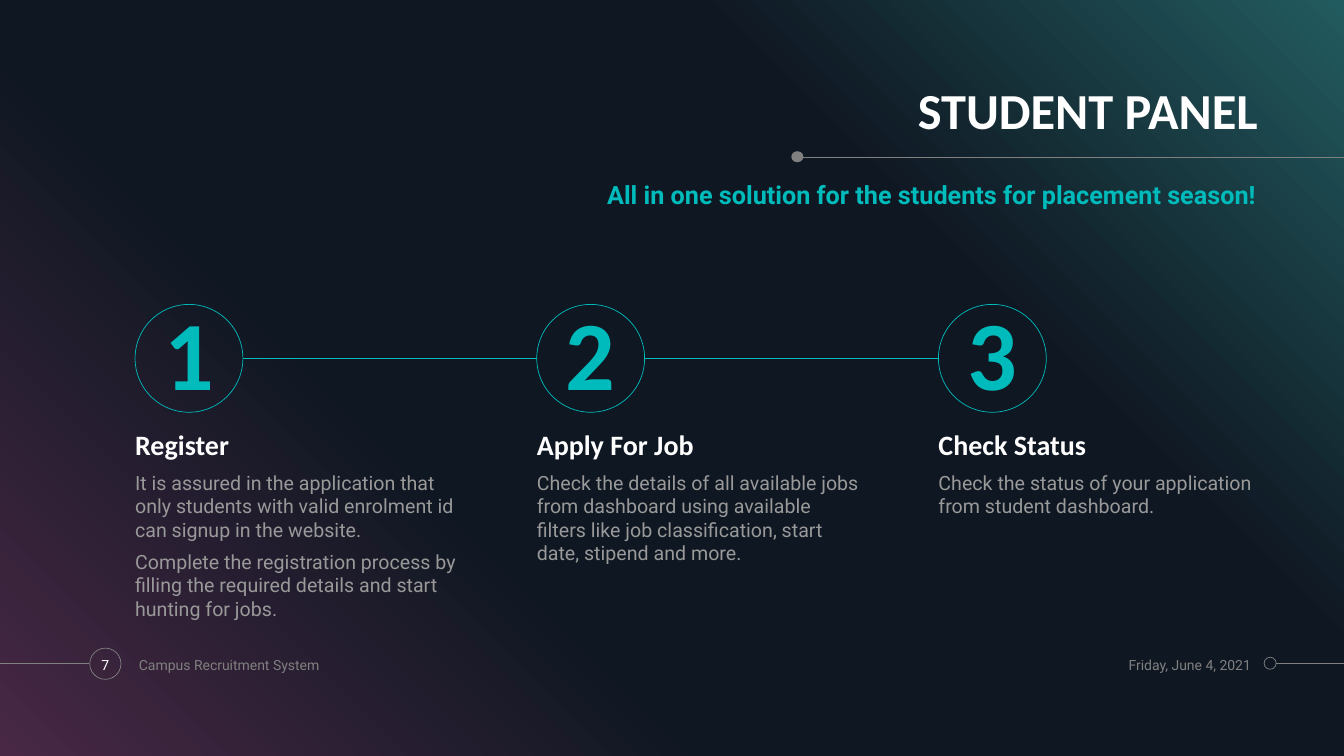
import dataclasses

import lxml.etree
import pptx
import pptx.dml.color
import pptx.enum.shapes
import pptx.enum.text
import pptx.oxml
import pptx.oxml.ns
import pptx.util

Inches = pptx.util.Inches
Pt = pptx.util.Pt
Shape = pptx.enum.shapes.MSO_SHAPE
Align = pptx.enum.text.PP_ALIGN
Anchor = pptx.enum.text.MSO_ANCHOR


@dataclasses.dataclass(frozen=True)
class Theme:
    black: str = "000000"
    white: str = "FFFFFF"
    teal: str = "00BBBB"
    gray: str = "808080"
    body: str = "999999"
    stops: tuple = ((0, "482845"), (34, "0F1722"), (69, "0F1722"), (100, "225B5F"))
    head_font: str = "Calibri"
    body_font: str = "Roboto"
    title: int = 36
    lead: int = 18
    digit: int = 70
    head: int = 20
    text: int = 14
    foot: int = 10
    line: float = 0.5


THEME = Theme()

STEPS = (
    ("Register", (
        "It is assured in the application that only students with valid "
        "enrolment id can signup in the website.",
        "Complete the registration process by filling the required details "
        "and start hunting for jobs.")),
    ("Apply For Job", (
        "Check the details of all available jobs from dashboard using available "
        "filters like job classification, start date, stipend and more.",)),
    ("Check Status", (
        "Check the status of your application from student dashboard.",)),
)
LEFT, PITCH, RING, RING_TOP = 1.34, 3.985, 1.07, 3.02


def rgb(color):
    return pptx.dml.color.RGBColor.from_string(color)


def add_form(slide, kind, box, fill=None, line=None):
    """Add a preset shape; without a fill or line colour that part is empty."""
    form = slide.shapes.add_shape(kind, *map(Inches, box))
    form.shadow.inherit = False
    if fill:
        form.fill.solid()
        form.fill.fore_color.rgb = rgb(fill)
    else:
        form.fill.background()
    if line:
        form.line.color.rgb = rgb(line)
        form.line.width = Pt(THEME.line)
    else:
        form.line.fill.background()
    return form


def add_line(slide, start, end, color):
    line = slide.shapes.add_connector(
        pptx.enum.shapes.MSO_CONNECTOR.STRAIGHT, *map(Inches, start + end))
    line.line.color.rgb = rgb(color)
    line.line.width = Pt(THEME.line)
    lxml.etree.SubElement(line.element.spPr, pptx.oxml.ns.qn("a:effectLst"))


def set_text(shape, lines, size, color, font=THEME.body_font, bold=False,
             align=Align.LEFT, anchor=Anchor.TOP, inset=(0, 0), before=0, space=1.0):
    frame = shape.text_frame
    frame.word_wrap = True
    frame.vertical_anchor = anchor
    frame.margin_left = frame.margin_right = Inches(inset[0])
    frame.margin_top = frame.margin_bottom = Inches(inset[1])
    frame.text = "\n".join(lines)
    for para in frame.paragraphs:
        para.alignment = align
        para.space_before = Pt(before)
        para.line_spacing = space
        for run in para.runs:
            run.font.size = Pt(size)
            run.font.name = font
            run.font.bold = bold
            run.font.color.rgb = rgb(color)


def add_text(slide, box, *args, **style):
    set_text(slide.shapes.add_textbox(*map(Inches, box)), *args, **style)


def add_backdrop(slide):
    """Cover the slide with the diagonal four-stop gradient."""
    slide.background.fill.solid()
    slide.background.fill.fore_color.rgb = rgb(THEME.black)
    form = add_form(slide, Shape.RECTANGLE, (0, 0, 13.333, 7.5))
    stops = "".join(
        f'<a:gs pos="{place * 1000}"><a:srgbClr val="{color}"/></a:gs>'
        for place, color in THEME.stops)
    grad = pptx.oxml.parse_xml(
        f'<a:gradFill {pptx.oxml.ns.nsdecls("a")} rotWithShape="1">'
        f'<a:gsLst>{stops}</a:gsLst><a:lin ang="{315 * 60000}" scaled="0"/></a:gradFill>')
    props = form.element.spPr
    props.replace(props.find(pptx.oxml.ns.qn("a:noFill")), grad)


def add_header(slide):
    add_line(slide, (13.333, 1.56), (7.94, 1.56), THEME.gray)
    add_form(slide, Shape.OVAL, (7.85, 1.5, 0.12, 0.11), fill=THEME.gray)
    add_text(slide, (5.58, 0.77, 6.9, 0.62), ["STUDENT PANEL"], THEME.title,
             THEME.white, font=THEME.head_font, bold=True, align=Align.RIGHT,
             anchor=Anchor.BOTTOM, space=0.9)
    add_text(slide, (5.58, 1.78, 6.88, 0.62),
             ["All in one solution for the students for placement season!"],
             THEME.lead, THEME.teal, bold=True, align=Align.RIGHT, before=10)


def add_step(slide, index, title, notes):
    left = LEFT + index * PITCH
    ring = add_form(slide, Shape.OVAL, (left, RING_TOP, RING, RING), line=THEME.teal)
    set_text(ring, [str(index + 1)], THEME.digit, THEME.teal, font=THEME.head_font,
             bold=True, align=Align.CENTER, anchor=Anchor.MIDDLE, before=10, space=0.9)
    add_text(slide, (left, 4.22, 3.22, 0.36), [title], THEME.head, THEME.white,
             font=THEME.head_font, bold=True, anchor=Anchor.BOTTOM, before=6, space=0.9)
    add_text(slide, (left, 4.67, 3.22, 1.55), notes, THEME.text, THEME.body, before=6)
    if index < len(STEPS) - 1:
        mid = RING_TOP + RING / 2
        add_line(slide, (left + RING, mid), (left + PITCH, mid), THEME.teal)


def add_footer(slide):
    add_line(slide, (12.66, 6.58), (13.333, 6.58), THEME.gray)
    add_form(slide, Shape.OVAL, (12.54, 6.52, 0.12, 0.12), line=THEME.gray)
    add_line(slide, (0, 6.58), (0.88, 6.58), THEME.gray)
    add_form(slide, Shape.OVAL, (0.89, 6.43, 0.31, 0.31), line=THEME.gray)
    for left, width, text, color, align, inset in (
            (0.85, 0.39, "7", THEME.white, Align.CENTER, (0.1, 0.05)),
            (1.28, 3.19, "Campus Recruitment System", THEME.gray, Align.LEFT, (0.1, 0.05)),
            (10.95, 1.46, "Friday, June 4, 2021", THEME.gray, Align.RIGHT, (0, 0))):
        add_text(slide, (left, 6.43, width, 0.33), [text], THEME.foot, color,
                 align=align, anchor=Anchor.MIDDLE, inset=inset)


def main():
    deck = pptx.Presentation()
    deck.slide_width = Inches(13.333)
    deck.slide_height = Inches(7.5)
    slide = deck.slides.add_slide(deck.slide_layouts[6])
    add_backdrop(slide)
    add_header(slide)
    for index, (title, notes) in enumerate(STEPS):
        add_step(slide, index, title, notes)
    add_footer(slide)
    deck.save("out.pptx")


if __name__ == "__main__":
    main()
